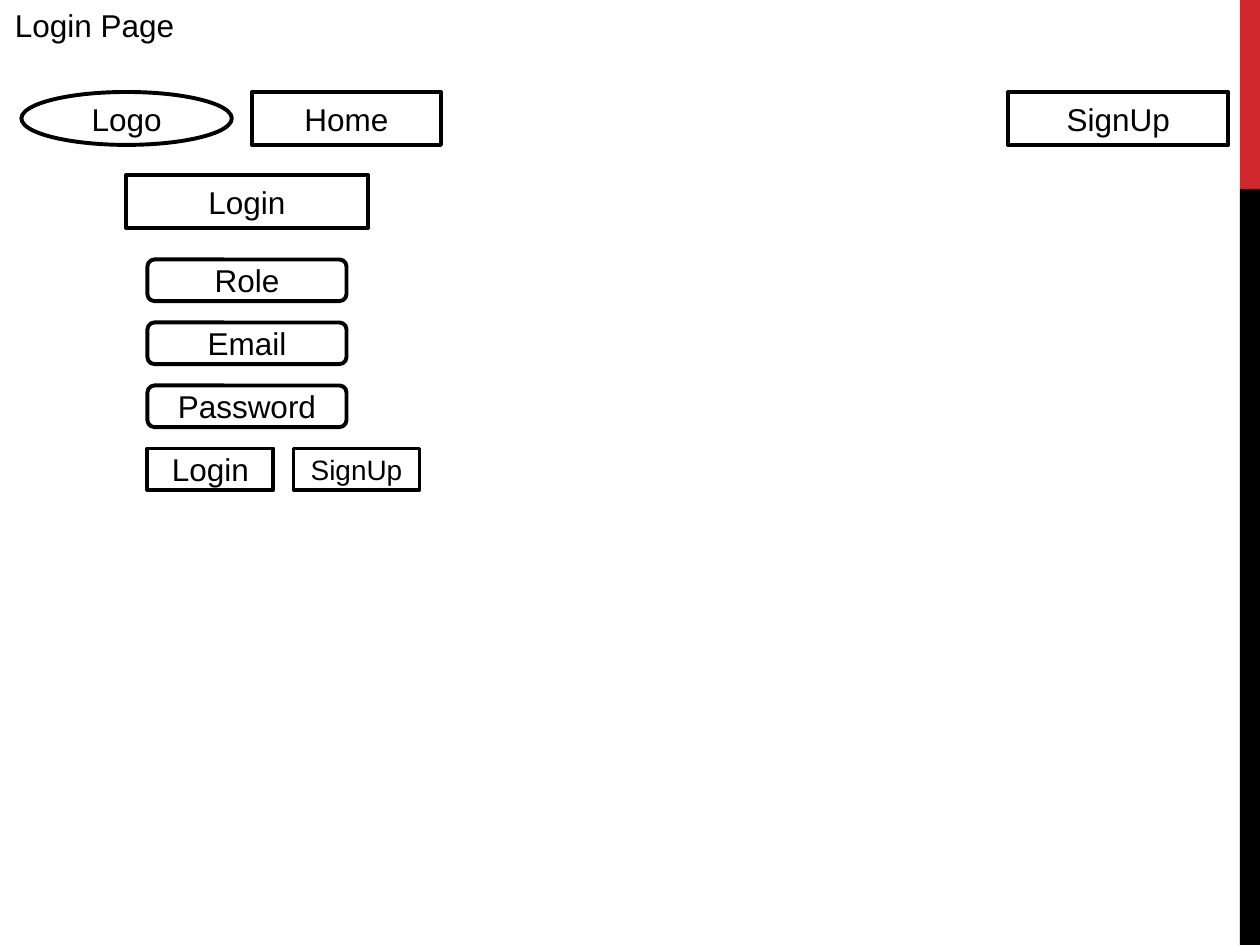
"""Build the login page wireframe slide."""
from pptx import Presentation
from pptx.dml.color import RGBColor
from pptx.enum.shapes import MSO_SHAPE as Shape
from pptx.enum.text import MSO_ANCHOR as Anchor, PP_ALIGN as Align
from pptx.util import Inches, Pt

BLACK = RGBColor(0x00, 0x00, 0x00)
WHITE = RGBColor(0xFF, 0xFF, 0xFF)
RED = RGBColor(0xD1, 0x28, 0x2E)

deck = Presentation()
deck.slide_width, deck.slide_height = Inches(10), Inches(7.5)
page = deck.slides.add_slide(deck.slide_layouts[6])


def add_block(outline, left, top, width, height, fill):
    block = page.shapes.add_shape(
        outline, Inches(left), Inches(top), Inches(width), Inches(height))
    block.shadow.inherit = False
    block.fill.solid()
    block.fill.fore_color.rgb = fill
    block.line.fill.background()
    return block


def write(frame, wording, size, align):
    paragraph = frame.paragraphs[0]
    paragraph.alignment = align
    run = paragraph.add_run()
    run.text = wording
    for attribute, value in {"name": "Arial", "size": Pt(size)}.items():
        setattr(run.font, attribute, value)
    run.font.color.rgb = BLACK


band_left, band_width, band_split = 9.84, 0.16, 1.5
add_block(Shape.RECTANGLE, band_left, 0, band_width, band_split, RED)
add_block(Shape.RECTANGLE, band_left, band_split, band_width, 7.5 - band_split, BLACK)

nav_top, heading_top, bar_height = 0.73, 1.39, 0.42
form_left, form_top, field_step = 1.17, 2.06, 0.5
field_width, field_height = 1.58, 0.33
button_top = form_top + 3 * field_step

controls = [
    ("Logo", Shape.OVAL, 0.17, nav_top, 1.67, bar_height, 18),
    ("Home", Shape.RECTANGLE, 2, nav_top, 1.5, bar_height, 18),
    ("SignUp", Shape.RECTANGLE, 8, nav_top, 1.75, bar_height, 18),
    ("Login", Shape.RECTANGLE, 1, heading_top, 1.92, bar_height, 18),
]
for row, field in enumerate(["Role", "Email", "Password"]):
    controls.append((field, Shape.ROUNDED_RECTANGLE, form_left,
                     form_top + row * field_step, field_width, field_height, 18))
for column, (button, size) in enumerate([("Login", 18), ("SignUp", 16)]):
    controls.append((button, Shape.RECTANGLE, form_left + column * 1.16,
                     button_top, 1, field_height, size))

for wording, outline, left, top, width, height, size in controls:
    control = add_block(outline, left, top, width, height, WHITE)
    control.line.color.rgb = BLACK
    control.line.width = Pt(2.25)
    control.text_frame.vertical_anchor = Anchor.MIDDLE
    write(control.text_frame, wording, size, Align.CENTER)

title = page.shapes.add_textbox(Inches(0.02), 0, Inches(1.48), Inches(0.4))
title.text_frame.word_wrap = False
write(title.text_frame, "Login Page", 18, Align.LEFT)

deck.save("out.pptx")
